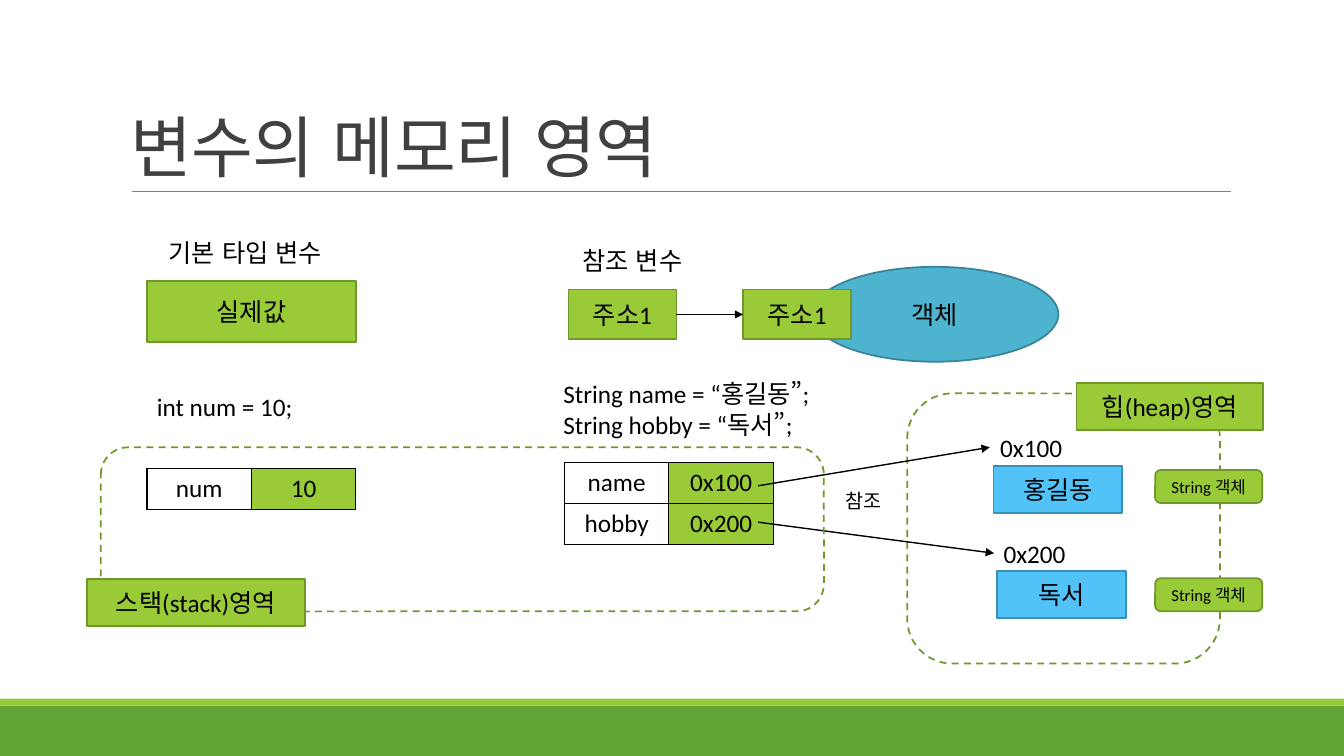
from dataclasses import dataclass
from itertools import groupby

from lxml import etree
from pptx import Presentation
from pptx.dml.color import RGBColor
from pptx.enum.dml import MSO_LINE
from pptx.enum.lang import MSO_LANGUAGE_ID
from pptx.enum.shapes import MSO_CONNECTOR, MSO_SHAPE
from pptx.enum.text import MSO_ANCHOR, MSO_AUTO_SIZE, PP_ALIGN
from pptx.oxml.ns import qn
from pptx.util import Pt

RECT, OVAL = MSO_SHAPE.RECTANGLE, MSO_SHAPE.OVAL
ROUND = MSO_SHAPE.ROUNDED_RECTANGLE
STRAIGHT, DASH = MSO_CONNECTOR.STRAIGHT, MSO_LINE.DASH
CENTER, LEFT = PP_ALIGN.CENTER, PP_ALIGN.LEFT
MIDDLE, BOTTOM = MSO_ANCHOR.MIDDLE, MSO_ANCHOR.BOTTOM
GROW = MSO_AUTO_SIZE.SHAPE_TO_FIT_TEXT
KOREAN, ENGLISH = MSO_LANGUAGE_ID.KOREAN, MSO_LANGUAGE_ID.ENGLISH_US


@dataclass(frozen=True)
class Theme:
    font: str = "Calibri"
    title: float = 48
    body: float = 18
    note: float = 14
    tag: float = 12
    outline: float = 1.25
    arrow: float = 1
    ink: str = "000000"
    heading: str = "404040"
    rule: str = "808080"
    footer: str = "63A537"
    green: tuple = ("99CB38", "719629")  # fill, line
    teal: tuple = ("4EB3CF", "3A8499")
    blue: tuple = ("51C3F9", "3C90B8")


T = Theme()


def rgb(color):
    return RGBColor.from_string(color)


def box(values):
    return [Pt(v) for v in values]


def apply(target, values):
    for name, value in values.items():
        setattr(target, name, value)


def is_hangul(ch):
    return "가" <= ch <= "힣"


def write(tf, text, size=T.body, color=T.ink, align=CENTER):
    """Write lines, with Hangul and other characters in separate runs."""
    for i, line_text in enumerate(text.split("\n")):
        p = tf.paragraphs[0] if i == 0 else tf.add_paragraph()
        p.alignment = align
        for hangul, chars in groupby(line_text, is_hangul):
            r = p.add_run()
            r.text = "".join(chars)
            apply(r.font, {"name": T.font, "size": Pt(size),
                           "language_id": KOREAN if hangul else ENGLISH})
            r.font.color.rgb = rgb(color)
    return tf.paragraphs[0]


def block(s, at, colors, text="", kind=RECT, size=T.body):
    """Filled shape with an optional outline and centred text."""
    fill, outline = colors
    sp = s.shapes.add_shape(kind, *box(at))
    sp.shadow.inherit = False
    sp.fill.solid()
    sp.fill.fore_color.rgb = rgb(fill)
    if outline:
        sp.line.color.rgb = rgb(outline)
        sp.line.width = Pt(T.outline)
    else:
        sp.line.fill.background()
    if text:
        sp.text_frame.vertical_anchor = MIDDLE
        write(sp.text_frame, text, size)


def region(s, at):
    """Dashed outline of a memory area."""
    sp = s.shapes.add_shape(ROUND, *box(at))
    sp.shadow.inherit = False
    sp.fill.background()
    sp.line.color.rgb = rgb(T.green[1])
    apply(sp.line, {"width": Pt(T.outline), "dash_style": DASH})


def label(s, at, text, size=T.body, wrap=False):
    tf = s.shapes.add_textbox(*box(at)).text_frame
    apply(tf, {"word_wrap": wrap, "auto_size": GROW})
    write(tf, text, size, align=LEFT)


def title(s, at, text):
    tf = s.shapes.add_textbox(*box(at)).text_frame
    apply(tf, {"word_wrap": True, "vertical_anchor": BOTTOM})
    p = write(tf, text, T.title, T.heading, LEFT)
    p.line_spacing = 0.85
    for r in p.runs:
        r.font._element.set("spc", "-50")


def line(s, start, end, color=T.ink, width=T.arrow, head=True):
    cx = s.shapes.add_connector(STRAIGHT, *box(start + end))
    cx.line.color.rgb = rgb(color)
    cx.line.width = Pt(width)
    if head:
        etree.SubElement(cx.line._get_or_add_ln(), qn("a:tailEnd"), type="triangle")
    etree.SubElement(cx._element.spPr, qn("a:effectLst"))


def border(cell):
    tc_pr = cell._tc.get_or_add_tcPr()
    for i, side in enumerate(("a:lnL", "a:lnR", "a:lnT", "a:lnB")):
        ln = etree.Element(qn(side), w=str(Pt(1)))
        fill = etree.SubElement(ln, qn("a:solidFill"))
        etree.SubElement(fill, qn("a:srgbClr"), val=T.ink)
        tc_pr.insert(i, ln)


def variables(s, left, top, rows):
    """Table of variable names and the values they hold."""
    col, row = 74.6, 29.2
    at = box((left, top, 2 * col, len(rows) * row))
    table = s.shapes.add_table(len(rows), 2, *at).table
    apply(table, {"first_row": False, "horz_banding": False})
    for i, texts in enumerate(rows):
        table.rows[i].height = Pt(row)
        for j, text in enumerate(texts):
            table.columns[j].width = Pt(col)
            cell = table.cell(i, j)
            cell.vertical_anchor = MIDDLE
            if j:
                cell.fill.solid()
                cell.fill.fore_color.rgb = rgb(T.green[0])
            else:
                cell.fill.background()
            border(cell)
            write(cell.text_frame, text)


def main():
    prs = Presentation()
    apply(prs, {"slide_width": Pt(960), "slide_height": Pt(540)})
    s = prs.slides.add_slide(prs.slide_layouts[6])

    # Footer bands, title and rule
    block(s, (0, 504, 960, 36), (T.footer, None))
    block(s, (0, 499, 960, 5), (T.green[0], None))
    line(s, (94.3, 136.8), (879, 136.8), T.rule, 0.5, head=False)
    title(s, (86.4, 22.3, 792, 114.5), "변수의 메모리 영역")

    # Primitive variable
    block(s, (105, 200.8, 149.3, 43.5), T.green, "실제값")
    label(s, (113.5, 165.6, 131.8, 29), "기본 타입 변수")
    label(s, (105, 276, 113, 29), "int num = 10;")
    variables(s, 105, 334.8, [("num", "10")])

    # Reference variable
    label(s, (409, 172, 91.4, 29), "참조 변수")
    block(s, (579.6, 190.6, 176.4, 67.8), T.teal, "객체", OVAL)
    for left in (406, 530.8):
        block(s, (left, 206.8, 77.2, 35.5), T.green, "주소1")
    line(s, (483.2, 224.6), (530.8, 224.6))
    label(s, (395.3, 267, 240, 51),
          "String name = “홍길동”;\nString hobby = “독서”;", wrap=True)
    variables(s, 403.2, 330.5, [("name", "0x100"), ("hobby", "0x200")])

    # Heap objects and the arrows that reach them
    region(s, (648, 281, 223.4, 193))
    block(s, (769, 273.4, 133, 33.6), T.green, "힙(heap)영역")
    objects = [("홍길동", "0x100", 709.7, 332.7, 335.7, 347, (707, 319.5)),
               ("독서", "0x200", 712.1, 408, 413, 373, (710, 395.2))]
    for text, address, left, top, tag_top, start, tip in objects:
        block(s, (left, top, 92, 33.6), T.blue, text)
        label(s, (left - 2.4, top - 27.3, 59, 29), address)
        block(s, (825.1, tag_top, 76.5, 23.6), T.green, "String 객체", ROUND, T.tag)
        line(s, (541.5, start), tip)

    # Stack area
    region(s, (72, 319.5, 516.5, 117.2))
    block(s, (62, 413.4, 155.7, 33.8), T.green, "스택(stack)영역")
    label(s, (597, 345.6, 42.5, 24.5), "참조", T.note)

    prs.save("out.pptx")


main()
